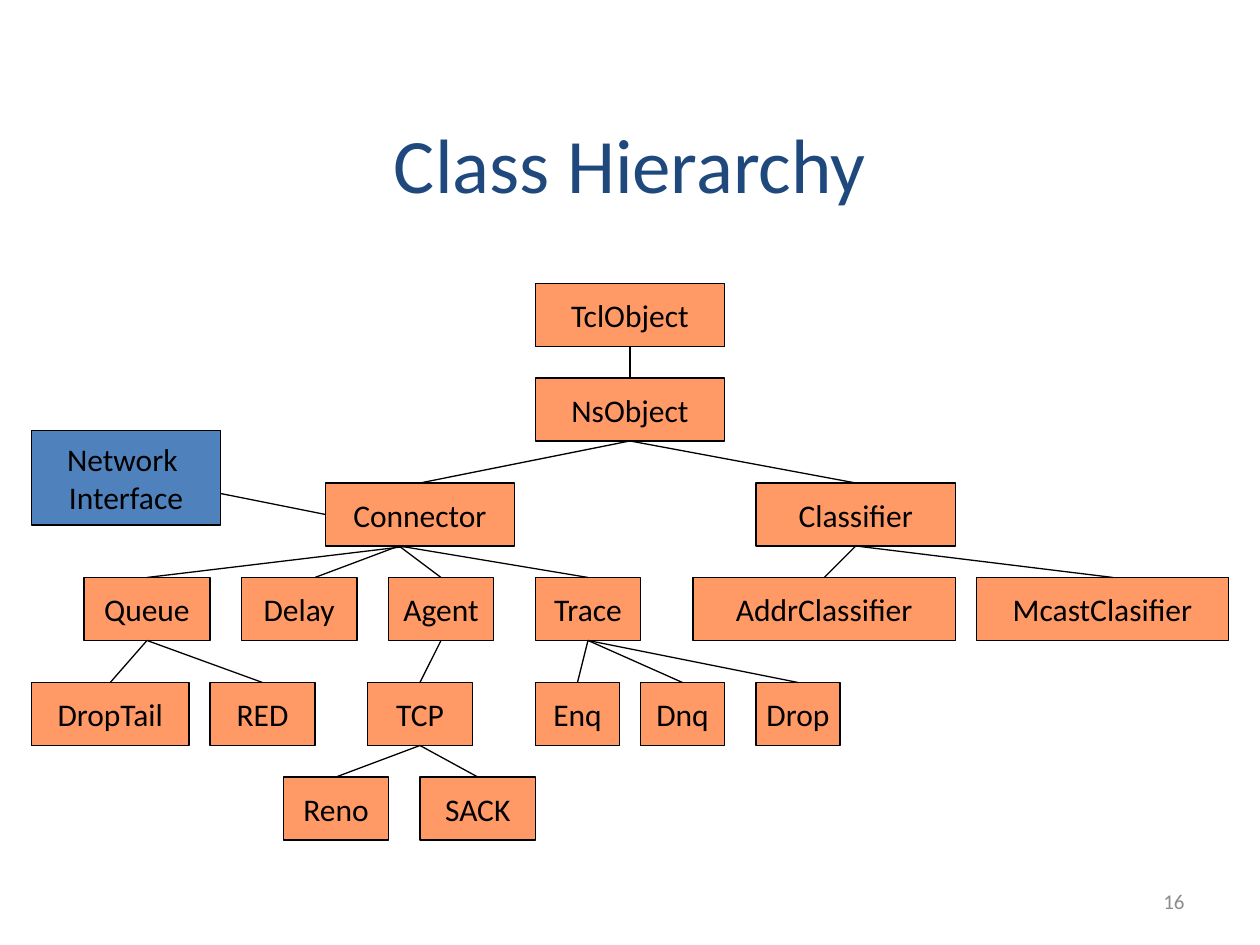
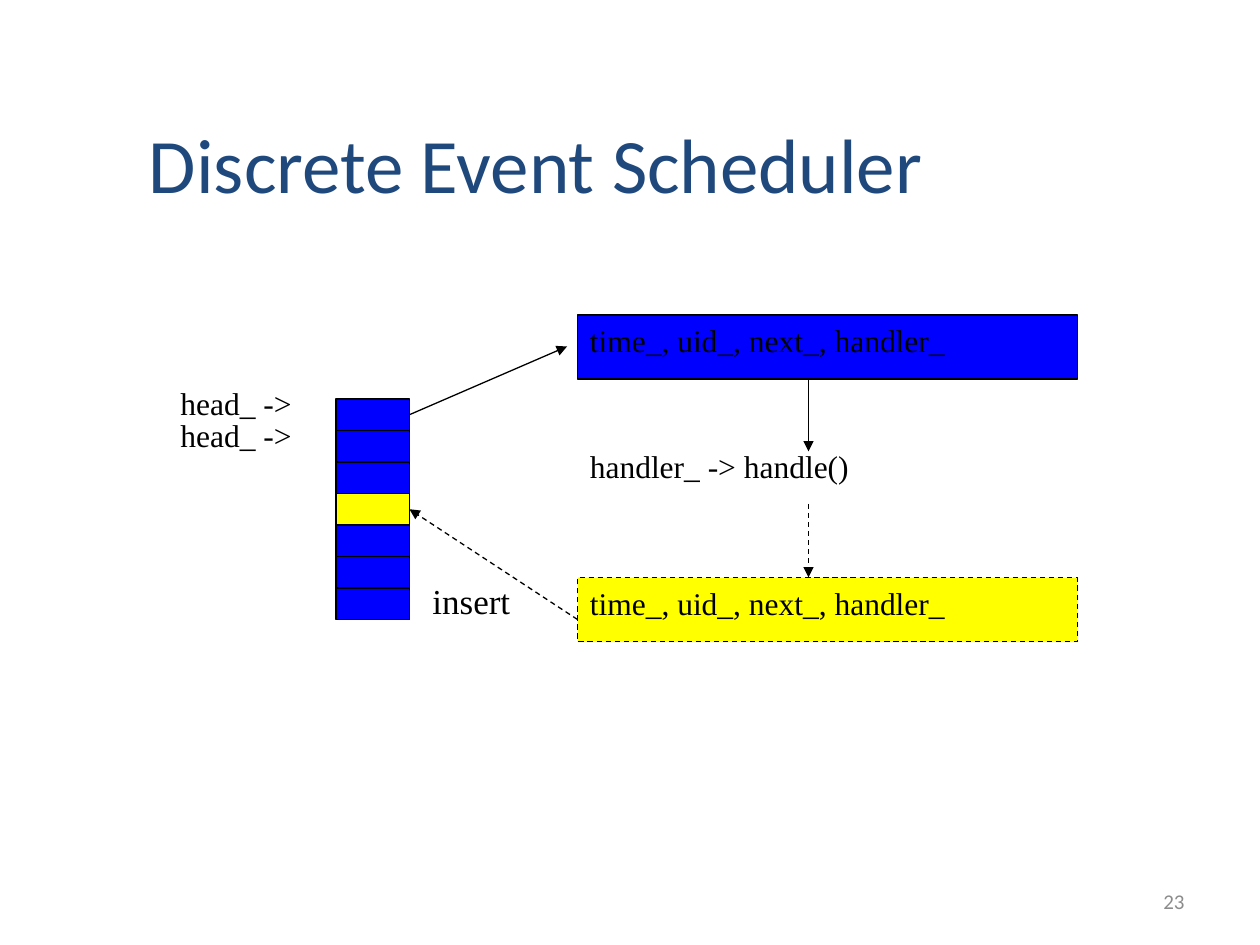
from dataclasses import dataclass
from typing import Optional

from lxml.etree import SubElement
from pptx import Presentation
from pptx.dml.color import RGBColor
from pptx.enum.dml import MSO_LINE
from pptx.enum.shapes import MSO_CONNECTOR, MSO_SHAPE
from pptx.enum.text import MSO_ANCHOR as Anchor, PP_ALIGN as Align
from pptx.oxml.ns import qn
from pptx.util import Cm, Pt

UNITS_ACROSS = 120
SANS, SERIF = "Calibri", "Times New Roman"
BLACK, NAVY, GRAY = "000000", "1F497D", "8C8C8C"
ORANGE, STEEL, BLUE, YELLOW = "FF9966", "4F81BD", "0000FF", "FFFF00"
TOP, LEFT, BOTTOM, RIGHT = range(4)


@dataclass(frozen=True)
class TextStyle:
    size: int
    font: str
    color: str = BLACK
    align: Align = Align.LEFT
    anchor: Anchor = Anchor.TOP
    wrap: bool = True


@dataclass(frozen=True)
class Box:
    text: str
    x: float
    y: float
    w: float
    h: float = 6
    fill: str = ORANGE
    dashed: bool = False


@dataclass(frozen=True)
class Edge:
    parent: str
    child: str
    start_x: Optional[float] = None
    end_x: Optional[float] = None


TITLE = TextStyle(44, SANS, NAVY, Align.CENTER, Anchor.MIDDLE)
LEFT_TITLE = TextStyle(44, SANS, NAVY, Align.LEFT, Anchor.MIDDLE)
NUMBER = TextStyle(12, SANS, GRAY, Align.RIGHT, Anchor.MIDDLE)
NODE = TextStyle(18, SANS, BLACK, Align.CENTER, Anchor.MIDDLE, False)
CODE = TextStyle(18, SERIF)
ACTION = TextStyle(20, SERIF)

CLASSES = [
    Box("TclObject", 51, 27, 18),
    Box("NsObject", 51, 36, 18),
    Box("Connector", 31, 46, 18),
    Box("Classifier", 72, 46, 19),
    Box("Queue", 8, 55, 12),
    Box("Delay", 23, 55, 11),
    Box("Agent", 37, 55, 10),
    Box("Trace", 51, 55, 10),
    Box("AddrClassifier", 66, 55, 25),
    Box("McastClasifier", 93, 55, 24),
    Box("DropTail", 3, 65, 15),
    Box("RED", 20, 65, 10),
    Box("TCP", 35, 65, 10),
    Box("Enq", 51, 65, 8),
    Box("Dnq", 61, 65, 8),
    Box("Drop", 72, 65, 8),
    Box("Reno", 27, 74, 10),
    Box("SACK", 40, 74, 11),
]

EDGES = [
    Edge("TclObject", "NsObject"),
    Edge("NsObject", "Connector"),
    Edge("NsObject", "Classifier"),
    Edge("Connector", "Queue", start_x=39),
    Edge("Connector", "Delay", start_x=38, end_x=30),
    Edge("Connector", "Agent", start_x=38),
    Edge("Connector", "Trace", start_x=38),
    Edge("Classifier", "AddrClassifier"),
    Edge("Classifier", "McastClasifier", end_x=106),
    Edge("Queue", "DropTail"),
    Edge("Queue", "RED"),
    Edge("Agent", "TCP"),
    Edge("Trace", "Enq"),
    Edge("Trace", "Dnq"),
    Edge("Trace", "Drop"),
    Edge("TCP", "Reno"),
    Edge("TCP", "SACK"),
]


def units(n: float) -> Cm:
    return Cm(n * 25.4 / UNITS_ACROSS)


def rgb(color: str) -> RGBColor:
    return RGBColor.from_string(color)


def set_text(s, text: str, style: TextStyle) -> None:
    tf = s.text_frame
    tf.text = text
    tf.word_wrap = style.wrap
    tf.vertical_anchor = style.anchor
    for p in tf.paragraphs:
        p.alignment = style.align
        for r in p.runs:
            r.font.size = Pt(style.size)
            r.font.name = style.font
            r.font.color.rgb = rgb(style.color)


def set_line(line, dashed: bool) -> None:
    line.color.rgb = rgb(BLACK)
    line.width = Pt(0.75)
    if dashed:
        line.dash_style = MSO_LINE.DASH


def add_label(slide, text: str, x: float, y: float, w: float, h: float, style: TextStyle):
    s = slide.shapes.add_textbox(units(x), units(y), units(w), units(h))
    set_text(s, text, style)
    return s


def add_box(slide, box: Box, style: TextStyle):
    s = slide.shapes.add_shape(
        MSO_SHAPE.RECTANGLE, units(box.x), units(box.y), units(box.w), units(box.h)
    )
    s.shadow.inherit = False
    s.fill.solid()
    s.fill.fore_color.rgb = rgb(box.fill)
    set_line(s.line, box.dashed)
    if box.text:
        set_text(s, box.text, style)
    return s


def add_link(slide, x1: float, y1: float, x2: float, y2: float,
             dashed: bool = False, arrow: bool = False):
    c = slide.shapes.add_connector(
        MSO_CONNECTOR.STRAIGHT, units(x1), units(y1), units(x2), units(y2)
    )
    set_line(c.line, dashed)
    if arrow:
        SubElement(c.line._get_or_add_ln(), qn("a:tailEnd"), type="triangle")
    SubElement(c._element.spPr, qn("a:effectLst"))
    return c


def add_slide(prs, title: str, number: int, x: float, w: float, style: TextStyle):
    slide = prs.slides.add_slide(prs.slide_layouts[6])
    add_label(slide, str(number), 86, 83.4, 28, 4.8, NUMBER)
    add_label(slide, title, x, 8, w, 15, style)
    return slide


def build_hierarchy(prs) -> None:
    slide = add_slide(prs, "Class Hierarchy", 16, 9, 102, TITLE)
    boxes = {box.text: box for box in CLASSES}
    nodes = {box.text: add_box(slide, box, NODE) for box in CLASSES}
    for edge in EDGES:
        parent, child = boxes[edge.parent], boxes[edge.child]
        start_x = edge.start_x or parent.x + parent.w / 2
        end_x = edge.end_x or child.x + child.w / 2
        c = add_link(slide, start_x, parent.y + parent.h, end_x, child.y)
        if edge.start_x is None:
            c.begin_connect(nodes[edge.parent], BOTTOM)
        if edge.end_x is None:
            c.end_connect(nodes[edge.child], TOP)
    add_box(slide, Box("Network \nInterface", 3, 41, 18, 9, STEEL), NODE)
    add_link(slide, 31, 49, 21, 47).begin_connect(nodes["Connector"], LEFT)


def build_scheduler(prs) -> None:
    slide = add_slide(prs, "Discrete Event Scheduler", 23, 13, 98, LEFT_TITLE)
    inserted = 3
    queue = [
        add_box(slide, Box("", 32, 38 + 3 * i, 7, 3, YELLOW if i == inserted else BLUE), CODE)
        for i in range(7)
    ]
    fields = "time_, uid_, next_, handler_"
    add_box(slide, Box(fields, 55, 30, 47.6, 6.1, BLUE), CODE)
    add_box(slide, Box(fields, 55, 55, 47.6, 6.1, YELLOW, dashed=True), CODE)
    for y in (36, 39):
        add_label(slide, "head_ ->", 16, y, 16.5, 6, CODE)
    add_label(slide, "handler_ -> handle()", 55, 42, 35.3, 6, CODE)
    add_label(slide, "insert", 40, 54.6, 10, 5.2, ACTION)

    add_link(slide, 77, 36, 77, 43, arrow=True)
    add_link(slide, 77, 48, 77, 55, dashed=True, arrow=True)
    add_link(slide, 39, 39.5, 54, 33, arrow=True).begin_connect(queue[0], RIGHT)
    add_link(slide, 55, 59, 39, 48.5, dashed=True, arrow=True).end_connect(queue[inserted], RIGHT)


def main() -> None:
    prs = Presentation()
    prs.slide_width, prs.slide_height = Cm(25.4), Cm(19.05)
    build_hierarchy(prs)
    build_scheduler(prs)
    prs.save("out.pptx")


if __name__ == "__main__":
    main()
